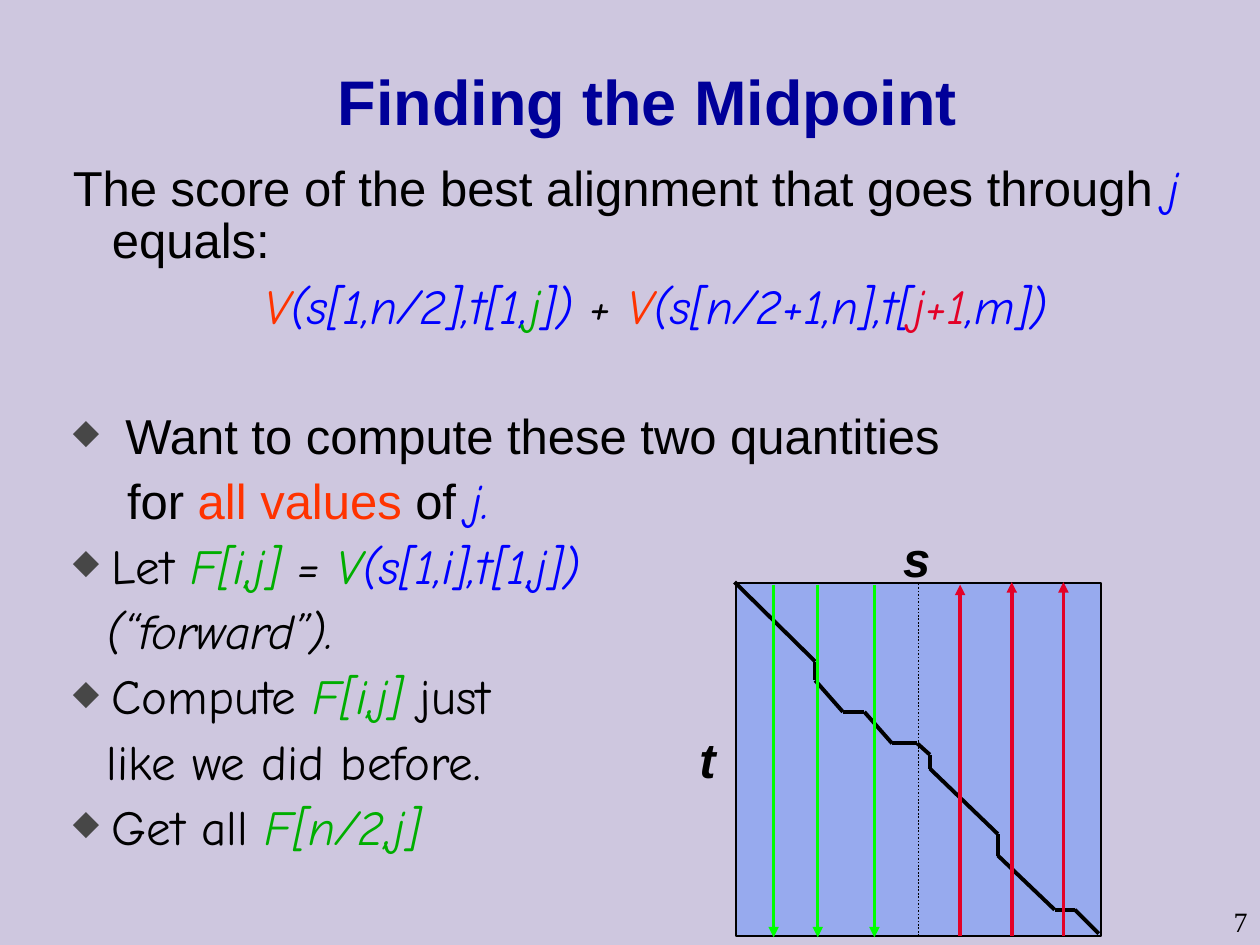
from itertools import pairwise

from lxml.etree import SubElement
from pptx import Presentation
from pptx.dml.color import RGBColor
from pptx.enum.dml import MSO_LINE
from pptx.enum.shapes import MSO_CONNECTOR, MSO_SHAPE
from pptx.enum.text import MSO_ANCHOR, PP_ALIGN
from pptx.oxml.ns import qn
from pptx.util import Inches, Pt

LAVENDER = RGBColor(0xCE, 0xC7, 0xDF)
NAVY = RGBColor(0x00, 0x00, 0x99)
BLACK = RGBColor(0x00, 0x00, 0x00)
BLUE = RGBColor(0x00, 0x00, 0xFF)
ORANGE = RGBColor(0xFF, 0x33, 0x00)
GREEN = RGBColor(0x00, 0xAE, 0x00)
RED = RGBColor(0xE3, 0x01, 0x27)
LIME = RGBColor(0x00, 0xFF, 0x00)
SKY = RGBColor(0x61, 0x8F, 0xFD)
BULLET_GRAY = "474747"

SANS, COMIC, SERIF = "Arial", "Comic Neue", "Times New Roman"

# Run styles: font, colour, italic
PLAIN = (SANS, BLACK, False)
STRESS = (SANS, ORANGE, False)
HAND = (COMIC, BLACK, False)
MATH = (COMIC, BLACK, True)
MATH_BLUE = (COMIC, BLUE, True)
MATH_GREEN = (COMIC, GREEN, True)
MATH_ORANGE = (COMIC, ORANGE, True)
MATH_RED = (COMIC, RED, True)

HANGING = {"margin": 0.31, "indent": -0.31}
BULLET = {**HANGING, "bullet": True}
CONTINUED = {"margin": 0.27}

# Paragraphs: format, then runs of text and style
BODY = [
    (HANGING, [("The score of the best alignment that goes through ", PLAIN),
               ("j ", MATH_BLUE), ("equals:", PLAIN)]),
    ({**HANGING, "align": PP_ALIGN.CENTER},
     [("V", MATH_ORANGE), ("(s[1,n/2],t[1,", MATH_BLUE), ("j", MATH_GREEN),
      ("])", MATH_BLUE), (" + ", MATH), ("V", MATH_ORANGE),
      ("(s[n/2+1,n],t[", MATH_BLUE), ("j+1", MATH_RED), (",m])", MATH_BLUE)]),
    ({**BULLET, "before": 44}, [(" Want to compute these two quantities", PLAIN)]),
    ({"margin": 0.43}, [("for ", PLAIN), ("all values", STRESS), (" of ", PLAIN),
                        ("j.", MATH_BLUE)]),
    (BULLET, [("Let ", HAND), ("F[i,j]", MATH_GREEN), (" = ", MATH),
              ("V", MATH_GREEN), ("(s[1,i],t[1,j])", MATH_BLUE)]),
    (CONTINUED, [("(“forward”).", MATH)]),
    (BULLET, [("Compute ", HAND), ("F[i,j] ", MATH_GREEN), ("just", HAND)]),
    (CONTINUED, [("like we did before.", HAND)]),
    (BULLET, [("Get all ", HAND), ("F[n/2,j]", MATH_GREEN)]),
]

MATRIX = (5.84, 4.63, 2.9, 2.8)
ALIGNMENT_PATH = [
    (5.83, 4.62), (6.47, 5.25), (6.47, 5.4), (6.69, 5.65), (6.86, 5.65),
    (7.08, 5.9), (7.28, 5.9), (7.38, 5.99), (7.38, 6.1), (7.92, 6.62),
    (7.92, 6.79), (8.37, 7.22), (8.53, 7.22), (8.72, 7.41),
]
FORWARD_COLUMNS = [6.14, 6.49, 6.94]
BACKWARD_COLUMNS = [(7.62, 4.64), (8.03, 4.62), (8.44, 4.62)]  # x, arrow tip


def add_span(para, text, font=SANS, color=BLACK, italic=False, size=28, bold=False):
    span = para.add_run()
    span.text = text
    span.font.name = font
    span.font.size = Pt(size)
    span.font.bold = bold
    span.font.italic = italic
    span.font.color.rgb = color


def add_box(page, place, wrap=True, anchor=MSO_ANCHOR.MIDDLE):
    box = page.shapes.add_textbox(*map(Inches, place))
    box.text_frame.word_wrap = wrap
    box.text_frame.vertical_anchor = anchor
    return box.text_frame


def add_label(page, text, place, align=PP_ALIGN.CENTER, wrap=True, **style):
    para = add_box(page, place, wrap).paragraphs[0]
    para.alignment = align
    add_span(para, text, **style)


def format_para(para, margin, indent=0, align=PP_ALIGN.LEFT, before=7, bullet=False):
    para.alignment = align
    para.line_spacing = 0.9
    para.space_before = Pt(before)
    props = para._p.get_or_add_pPr()
    props.set("marL", str(Inches(margin)))
    props.set("indent", str(Inches(indent)))
    if bullet:
        SubElement(SubElement(props, qn("a:buClr")), qn("a:srgbClr"), val=BULLET_GRAY)
        SubElement(props, qn("a:buSzPct"), val="70000")
        SubElement(props, qn("a:buChar"), char="◆")


def add_line(page, start, end, color=BLACK, width=2.25, arrow=False):
    line = page.shapes.add_connector(MSO_CONNECTOR.STRAIGHT, *map(Inches, start + end))
    line.line.color.rgb = color
    line.line.width = Pt(width)
    if arrow:
        SubElement(line.line._get_or_add_ln(), qn("a:tailEnd"), type="triangle")
    SubElement(line._element.spPr, qn("a:effectLst"))
    return line


def add_matrix(page):
    left, top, width, height = MATRIX
    matrix = page.shapes.add_shape(MSO_SHAPE.RECTANGLE, *map(Inches, MATRIX))
    matrix.shadow.inherit = False
    matrix.fill.solid()
    matrix.fill.fore_color.rgb = SKY
    tint = matrix._element.spPr.find(qn("a:solidFill")).find(qn("a:srgbClr"))
    SubElement(tint, qn("a:alpha"), val="50000")
    matrix.line.color.rgb = BLACK
    matrix.line.width = Pt(1)

    for start, end in pairwise(ALIGNMENT_PATH):
        add_line(page, start, end)

    middle, bottom = left + width / 2, top + height
    divider = add_line(page, (middle, bottom), (middle, top), width=1)
    divider.line.dash_style = MSO_LINE.ROUND_DOT
    divider.begin_connect(matrix, 2)
    divider.end_connect(matrix, 0)

    for x, tip in BACKWARD_COLUMNS:
        add_line(page, (x, 7.43), (x, tip), RED, 2, arrow=True)
    for x in FORWARD_COLUMNS:
        add_line(page, (x, 4.64), (x, 7.44), LIME, 2, arrow=True)


def main():
    deck = Presentation()
    deck.slide_width, deck.slide_height = Inches(10), Inches(7.5)
    page = deck.slides.add_slide(deck.slide_layouts[6])
    page.background.fill.solid()
    page.background.fill.fore_color.rgb = LAVENDER

    add_label(page, "Finding the Midpoint", (0.54, 0.17, 9.2, 1.25),
              color=NAVY, size=36, bold=True)

    body = add_box(page, (0.48, 1.25, 9.45, 5.81), anchor=MSO_ANCHOR.TOP)
    for number, (layout, spans) in enumerate(BODY):
        para = body.add_paragraph() if number else body.paragraphs[0]
        format_para(para, **layout)
        for text, style in spans:
            add_span(para, text, *style)

    add_matrix(page)
    for text, place in [("s", (7.07, 4.14, 0.41, 0.57)), ("t", (5.45, 5.74, 0.33, 0.57))]:
        add_label(page, text, place, wrap=False, bold=True, italic=True)
    add_label(page, "7", (9.54, 7.13, 0.46, 0.37), PP_ALIGN.RIGHT, font=SERIF, size=16)

    deck.save("out.pptx")


if __name__ == "__main__":
    main()
